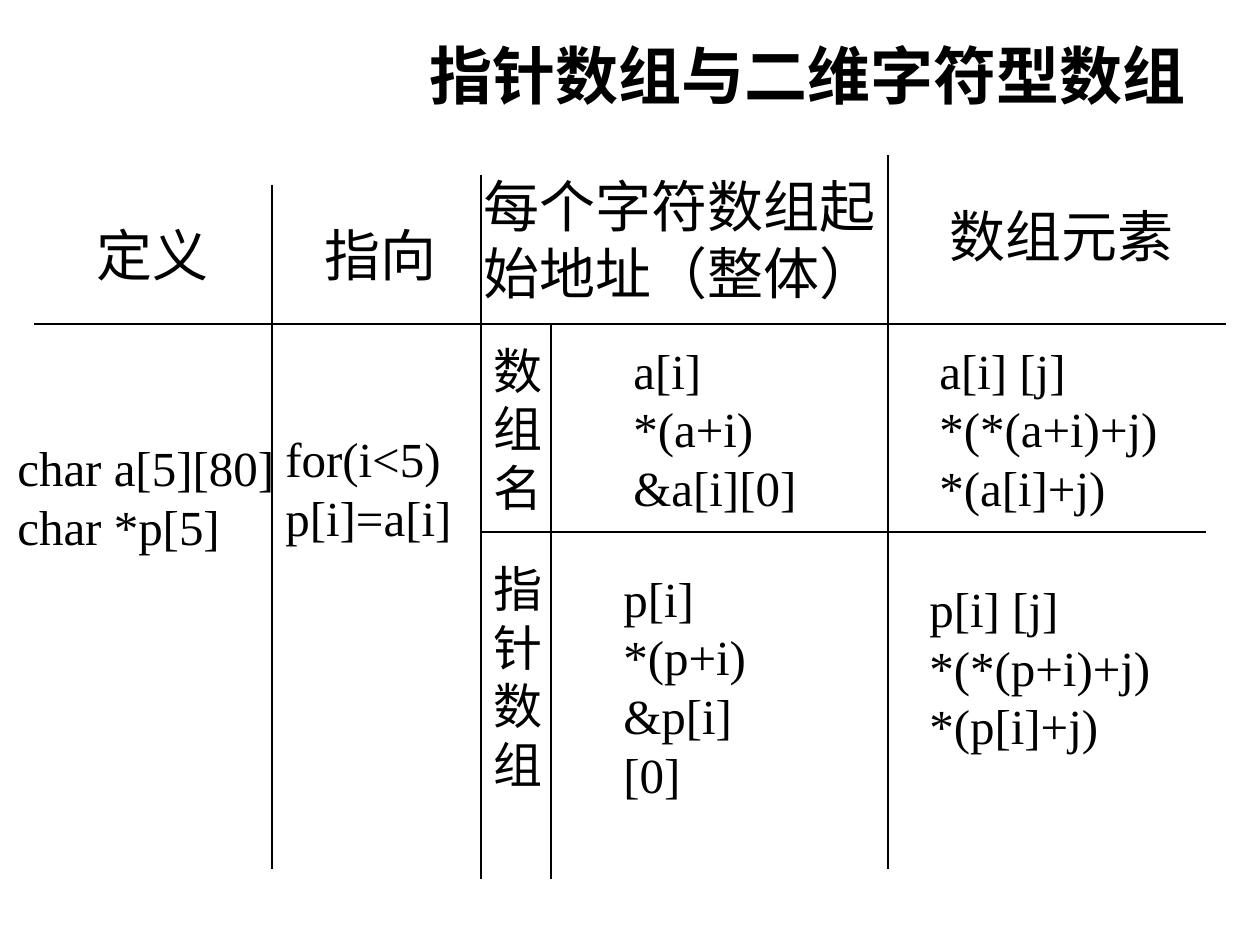
from pptx import Presentation
from pptx.dml.color import RGBColor
from pptx.enum.shapes import MSO_CONNECTOR
from pptx.enum.text import MSO_ANCHOR, MSO_AUTO_SIZE, PP_ALIGN
from pptx.oxml.ns import qn
from pptx.util import Emu, Pt
from lxml.etree import SubElement

COLORS = {"ink": "000000", "paper": "FFFFFF"}
FONT = "Times New Roman"
HEADER, BODY = 32, 28

TITLE = ("指针数组与二维字符型数组", 417, 35, 819, 79)

# left, top, width, height, size, wrap, lines
TEXTS = [
    (84, 214, 137, 81, HEADER, False, ["定义"]),
    (312, 214, 137, 81, HEADER, False, ["指向"]),
    (471, 165, 436, 147, HEADER, True, ["每个字符数组起始地址（整体）"]),
    (937, 195, 268, 81, HEADER, True, ["数组元素"]),
    (5, 431, 282, 131, BODY, False, ["char a[5][80]", "char *p[5]"]),
    (273, 422, 192, 131, BODY, False, ["for(i<5)", "p[i]=a[i]"]),
    (481, 334, 72, 189, BODY, True, ["数组名"]),
    (481, 552, 72, 248, BODY, True, ["指针数组"]),
    (621, 334, 188, 189, BODY, False, ["a[i]", "*(a+i)", "&a[i][0]"]),
    (927, 334, 267, 189, BODY, True, ["a[i] [j]", "*(*(a+i)+j)", "*(a[i]+j)"]),
    (611, 562, 190, 189, BODY, False, ["p[i]", "*(p+i)", "&p[i][0]"]),
    (917, 572, 267, 189, BODY, True, ["p[i] [j]", "*(*(p+i)+j)", "*(p[i]+j)"]),
]

ROW_RULES = [(324, 34, 1226), (532, 481, 1206)]
COLUMN_RULES = [(272, 185, 869), (481, 175, 879), (551, 324, 879), (888, 155, 869)]


def px(value):
    return Emu(round(value * 914400 / 126))


def color(name):
    return RGBColor.from_string(COLORS[name])


def write(para, text, size, bold=False):
    para.alignment = PP_ALIGN.LEFT
    span = para.add_run()
    span.text = text
    span.font.name = FONT
    span.font.size = Pt(size)
    span.font.bold = bold
    span.font.color.rgb = color("ink")


def add_title(page):
    text, *place = TITLE
    box = page.shapes.title
    box.left, box.top, box.width, box.height = map(px, place)
    frame = box.text_frame
    frame.auto_size = MSO_AUTO_SIZE.NONE
    frame.vertical_anchor = MSO_ANCHOR.MIDDLE
    write(frame.paragraphs[0], text, 36, bold=True)


def add_text(page, left, top, width, height, size, wrap, lines):
    box = page.shapes.add_textbox(*map(px, (left, top, width, height)))
    frame = box.text_frame
    frame.word_wrap = wrap
    frame.auto_size = MSO_AUTO_SIZE.SHAPE_TO_FIT_TEXT
    for index, line in enumerate(lines):
        para = frame.add_paragraph() if index else frame.paragraphs[0]
        write(para, line, size)


def add_rule(page, *ends):
    rule = page.shapes.add_connector(MSO_CONNECTOR.STRAIGHT, *map(px, ends))
    rule.line.color.rgb = color("ink")
    rule.line.width = Pt(1)
    SubElement(rule._element.spPr, qn("a:effectLst"))


def main():
    deck = Presentation()
    deck.slide_width, deck.slide_height = px(1260), px(945)
    page = deck.slides.add_slide(deck.slide_layouts[5])
    page.background.fill.solid()
    page.background.fill.fore_color.rgb = color("paper")
    add_title(page)
    for y, start, end in ROW_RULES:
        add_rule(page, start, y, end, y)
    for x, start, end in COLUMN_RULES:
        add_rule(page, x, start, x, end)
    for text in TEXTS:
        add_text(page, *text)
    deck.save("out.pptx")


if __name__ == "__main__":
    main()
